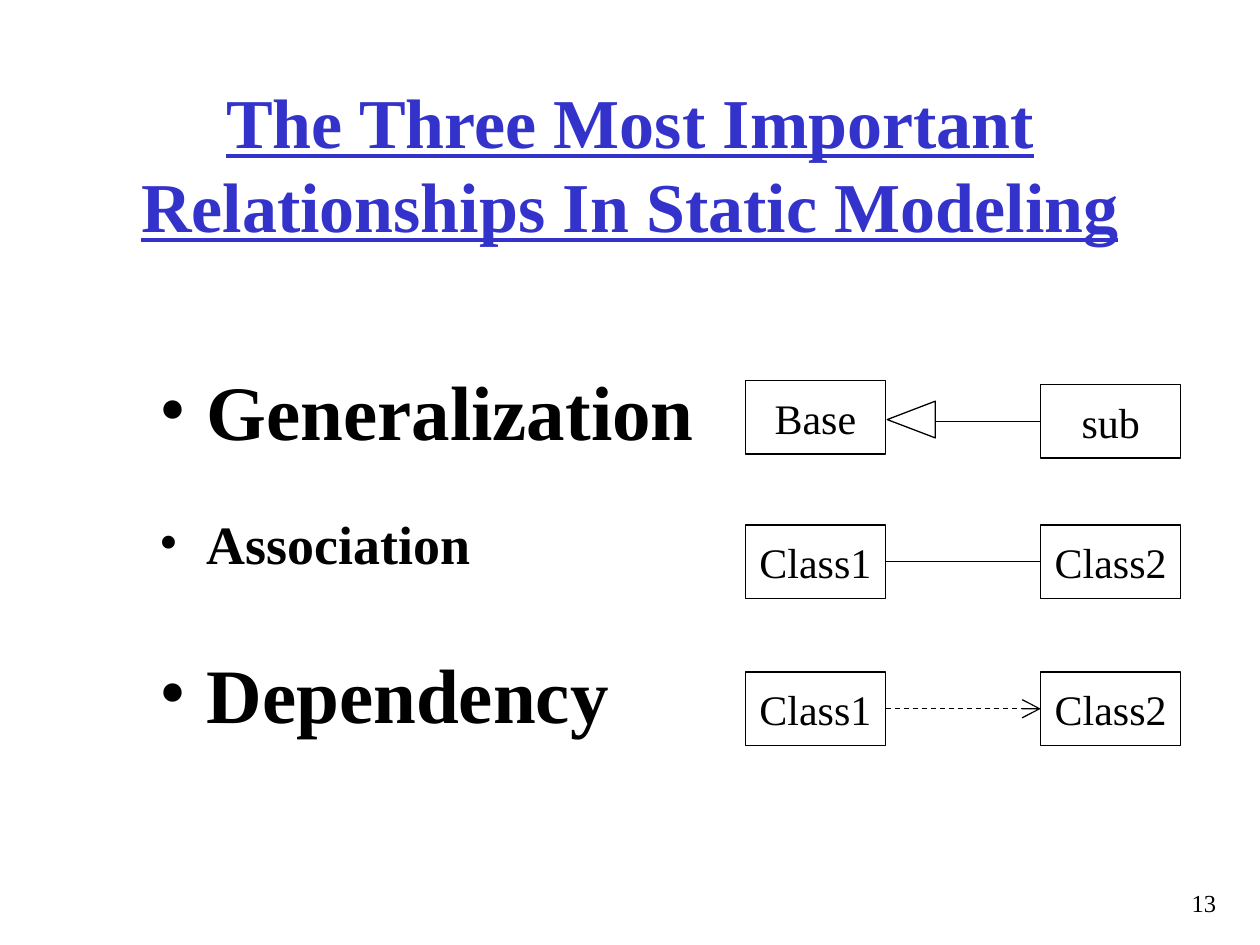
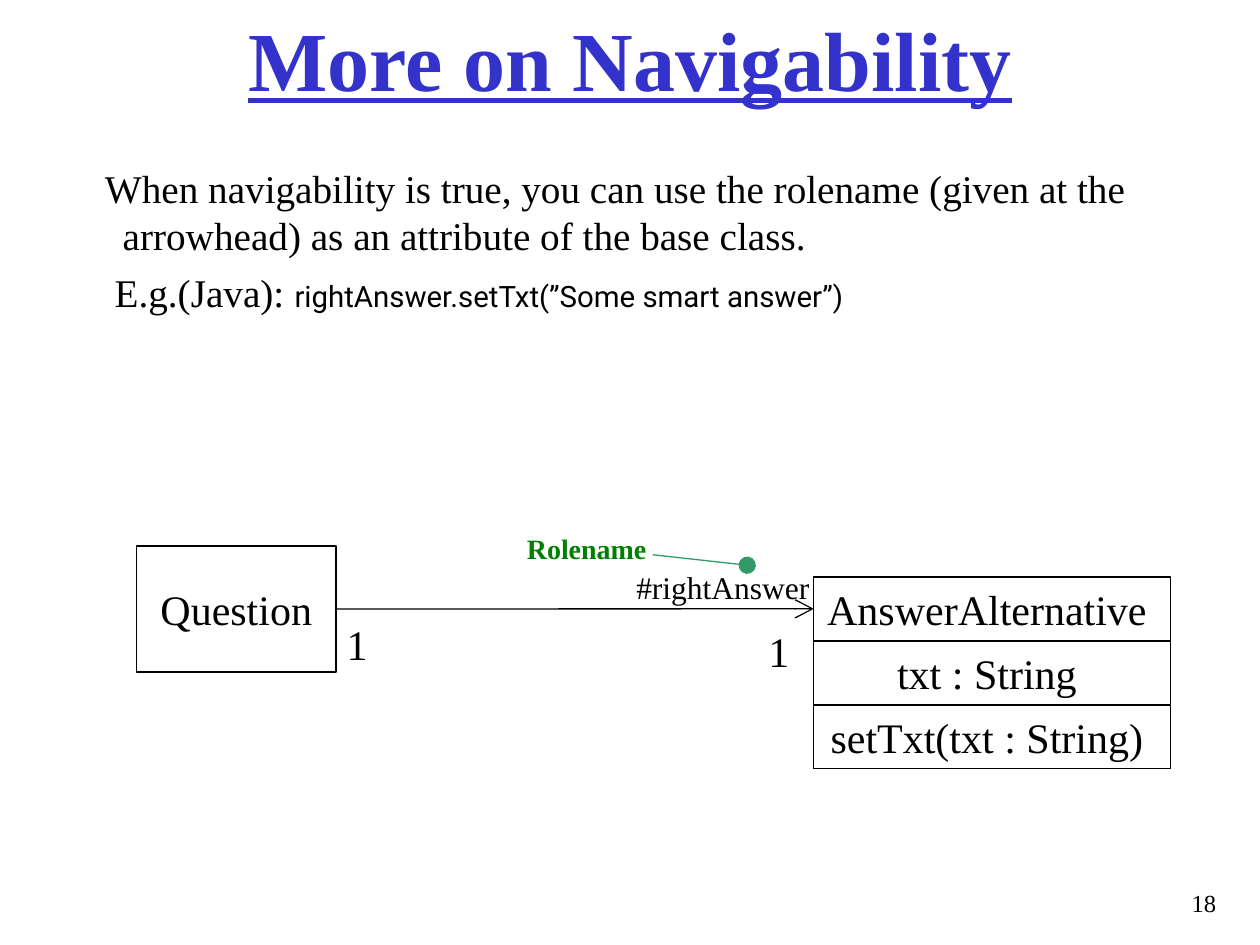
"""Build two slides on relationships and navigability in static modeling."""
from dataclasses import dataclass
from typing import Optional

from lxml import etree
from pptx import Presentation
from pptx import util as u
from pptx.dml import color
from pptx.enum import dml, shapes, text
from pptx.oxml import ns
from pptx.shapes.autoshape import Shape
from pptx.shapes.connector import Connector
from pptx.slide import Slide


@dataclass(frozen=True)
class Theme:
    """Colours, fonts and type sizes of the presentation."""
    title: str = "3333CC"
    ink: str = "000000"
    paper: str = "FFFFFF"
    role: str = "008000"
    pointer: str = "339966"
    font: str = "Times New Roman"
    code_font: str = "Roboto"
    large_title: float = 48
    long_title: float = 40
    heading: float = 44
    subheading: float = 30.8
    class_name: float = 24
    body: float = 22.4
    role_end: float = 18
    code: float = 16.8
    role_label: float = 16
    page: float = 14
    line: float = 0.75


THEME = Theme()


@dataclass(frozen=True)
class Box:
    """A rectangle in points."""
    left: float
    top: float
    width: float
    height: float

    def lengths(self) -> tuple:
        """Return position and size as lengths."""
        return tuple(u.Pt(value) for value in (self.left, self.top, self.width, self.height))


@dataclass(frozen=True)
class Style:
    """Character formatting of a run."""
    size: float
    color: str = THEME.ink
    font: str = THEME.font
    bold: bool = False
    underline: bool = False


@dataclass(frozen=True)
class Label:
    """A one-line piece of text in its box."""
    words: str
    box: Box
    style: Style
    wrap: bool = False


@dataclass(frozen=True)
class Relationship:
    """A bulleted relationship with its two example classes."""
    label: Label
    left_class: str
    right_class: str
    left_top: float
    right_top: float
    kind: str


CLASS_STYLE = Style(THEME.class_name)
HANGING = 27
CLASS_LEFTS = (426, 594.75)
CLASS_SIZE = (80, 42)


def bullet_label(words: str, top: float, height: float, size: float) -> Label:
    """Describe one bulleted relationship name."""
    return Label(words, Box(84, top, 330, height), Style(size, bold=True), True)


RELATIONSHIPS = (
    Relationship(bullet_label("Generalization", 204, 66, THEME.heading),
                 "Base", "sub", 217.5, 219.75, "generalization"),
    Relationship(bullet_label("Association", 288, 48, THEME.subheading),
                 "Class1", "Class2", 300, 300, "association"),
    Relationship(bullet_label("Dependency", 366, 72, THEME.heading),
                 "Class1", "Class2", 384, 384, "dependency"),
)

ANSWER_COMPARTMENTS = ("AnswerAlternative", "txt : String", "setTxt(txt : String)")

ASSOCIATION_LABELS = (
    Label("1", Box(191, 350, 26, 36), CLASS_STYLE),
    Label("1", Box(432, 354, 26, 36), CLASS_STYLE),
    Label("Rolename", Box(294, 300, 96, 27),
          Style(THEME.role_label, THEME.role, bold=True), True),
    Label("#rightAnswer", Box(356.5, 321, 130, 29), Style(THEME.role_end), True),
)


def format_run(run, style: Style) -> None:
    """Apply a style to a run."""
    run.font.name = style.font
    run.font.size = u.Pt(style.size)
    run.font.bold = style.bold
    run.font.underline = style.underline
    run.font.color.rgb = color.RGBColor.from_string(style.color)


def set_indent(paragraph, margin: float, indent: float) -> None:
    """Set the left margin and first-line indent of a paragraph."""
    properties = paragraph._p.get_or_add_pPr()
    properties.set("marL", str(u.Pt(margin)))
    properties.set("indent", str(u.Pt(indent)))


def add_bullet(paragraph) -> None:
    """Give a paragraph a hanging round bullet."""
    set_indent(paragraph, HANGING, -HANGING)
    properties = paragraph._p.get_or_add_pPr()
    bullet_color = etree.SubElement(properties, ns.qn("a:buClr"))
    etree.SubElement(bullet_color, ns.qn("a:srgbClr"), val=THEME.ink)
    etree.SubElement(properties, ns.qn("a:buFont"), typeface=THEME.font)
    etree.SubElement(properties, ns.qn("a:buChar"), char="•")


def add_label(slide: Slide, label: Label) -> Shape:
    """Draw a text box holding one label."""
    shape = slide.shapes.add_textbox(*label.box.lengths())
    shape.text_frame.word_wrap = label.wrap
    shape.text_frame.text = label.words
    format_run(shape.text_frame.paragraphs[0].runs[0], label.style)
    return shape


def paint(shape: Shape) -> None:
    """Give a shape the plain diagram look."""
    shape.shadow.inherit = False
    shape.fill.solid()
    shape.fill.fore_color.rgb = color.RGBColor.from_string(THEME.paper)
    shape.line.color.rgb = color.RGBColor.from_string(THEME.ink)
    shape.line.width = u.Pt(THEME.line)


def add_class(slide: Slide, name: str, box: Box, extra_inset: float = 0) -> Shape:
    """Draw a class rectangle with its centred name."""
    shape = slide.shapes.add_shape(shapes.MSO_SHAPE.RECTANGLE, *box.lengths())
    paint(shape)
    frame = shape.text_frame
    frame.word_wrap = False
    frame.vertical_anchor = text.MSO_ANCHOR.MIDDLE
    frame.margin_right = u.Pt(7.2 + extra_inset)
    frame.text = name
    frame.paragraphs[0].alignment = text.PP_ALIGN.CENTER
    format_run(frame.paragraphs[0].runs[0], CLASS_STYLE)
    return shape


def add_line(slide: Slide, start: tuple, end: tuple, ink: str = THEME.ink,
             head: Optional[str] = None, dashed: bool = False) -> Connector:
    """Draw a straight line with an optional end marker."""
    connector = slide.shapes.add_connector(
        shapes.MSO_CONNECTOR.STRAIGHT, *(u.Pt(value) for value in (*start, *end)))
    connector.line.color.rgb = color.RGBColor.from_string(ink)
    connector.line.width = u.Pt(THEME.line)
    if dashed:
        connector.line.dash_style = dml.MSO_LINE.DASH
    if head:
        etree.SubElement(connector.line._get_or_add_ln(), ns.qn("a:tailEnd"),
                         type=head, w="lg", len="lg")
    etree.SubElement(connector._element.spPr, ns.qn("a:effectLst"))
    return connector


def join_classes(slide: Slide, source: Shape, target: Shape, **look) -> None:
    """Connect the right side of one class to the left side of another."""
    connector = add_line(slide, (0, 0), (0, 0), **look)
    connector.begin_connect(source, 3)
    connector.end_connect(target, 1)


def add_titled_slide(presentation, title: str, box: Box, size: float, page: str) -> Slide:
    """Add a slide with its title and page number."""
    slide = presentation.slides.add_slide(presentation.slide_layouts[5])
    shape = slide.shapes.title
    shape.left, shape.top, shape.width, shape.height = box.lengths()
    frame = shape.text_frame
    frame.auto_size = text.MSO_AUTO_SIZE.NONE
    frame.vertical_anchor = text.MSO_ANCHOR.MIDDLE
    frame.text = title
    frame.paragraphs[0].alignment = text.PP_ALIGN.CENTER
    format_run(frame.paragraphs[0].runs[0], Style(size, THEME.title, bold=True, underline=True))
    number = add_label(slide, Label(page, Box(336, 504, 366, 24), Style(THEME.page), True))
    number.text_frame.paragraphs[0].alignment = text.PP_ALIGN.RIGHT
    return slide


def add_relationship(slide: Slide, relationship: Relationship) -> None:
    """Draw a relationship name and its example diagram."""
    name = add_label(slide, relationship.label)
    add_bullet(name.text_frame.paragraphs[0])
    left = add_class(slide, relationship.left_class,
                     Box(CLASS_LEFTS[0], relationship.left_top, *CLASS_SIZE))
    right = add_class(slide, relationship.right_class,
                      Box(CLASS_LEFTS[1], relationship.right_top, *CLASS_SIZE))
    if relationship.kind == "generalization":
        middle = relationship.right_top + CLASS_SIZE[1] / 2
        connector = add_line(slide, (0, middle), (534.25, middle))
        connector.begin_connect(right, 1)
        triangle = slide.shapes.add_shape(
            shapes.MSO_SHAPE.ISOSCELES_TRIANGLE, *Box(510.25, 226, 21, 27.5).lengths())
        triangle.rotation = 270
        paint(triangle)
    elif relationship.kind == "dependency":
        join_classes(slide, left, right, head="arrow", dashed=True)
    else:
        join_classes(slide, left, right)


def add_explanation(slide: Slide) -> None:
    """Write the navigability rule and its code example."""
    style = Style(THEME.body)
    rule = Label("When navigability is true, you can use the rolename (given at the "
                 "arrowhead) as an attribute of the base class.",
                 Box(36, 90.25, 660, 102), style, True)
    frame = add_label(slide, rule).text_frame
    set_indent(frame.paragraphs[0], HANGING, -10.2)
    example = frame.add_paragraph()
    set_indent(example, HANGING, -4.6)
    example.space_before = u.Pt(6)
    for words, run_style in (("E.g.(Java): ", style),
                             ("rightAnswer.setTxt(”Some smart answer”)",
                              Style(THEME.code, font=THEME.code_font))):
        run = example.add_run()
        run.text = words
        format_run(run, run_style)


def build_relationships(presentation) -> None:
    """Build the slide on the three relationships."""
    slide = add_titled_slide(
        presentation, "The Three Most Important Relationships In Static Modeling",
        Box(54, 48, 612, 90), THEME.long_title, "13")
    for relationship in RELATIONSHIPS:
        add_relationship(slide, relationship)


def build_navigability(presentation) -> None:
    """Build the slide on navigability."""
    slide = add_titled_slide(presentation, "More on Navigability",
                             Box(54, 0, 612, 66), THEME.large_title, "18")
    add_explanation(slide)
    question = add_class(slide, "Question", Box(78, 312, 114, 72))
    answer = [add_class(slide, words, Box(465, 329.75 + 36.6 * row, 204, 36.3), 6)
              for row, words in enumerate(ANSWER_COMPARTMENTS)]
    join_classes(slide, question, answer[0], head="arrow")
    for label in ASSOCIATION_LABELS:
        add_label(slide, label)
    add_line(slide, (373, 317), (427, 323), THEME.pointer, "oval")


def main() -> None:
    """Build and save the presentation."""
    presentation = Presentation()
    presentation.slide_width, presentation.slide_height = u.Pt(720), u.Pt(540)
    build_relationships(presentation)
    build_navigability(presentation)
    presentation.save("out.pptx")


if __name__ == "__main__":
    main()
